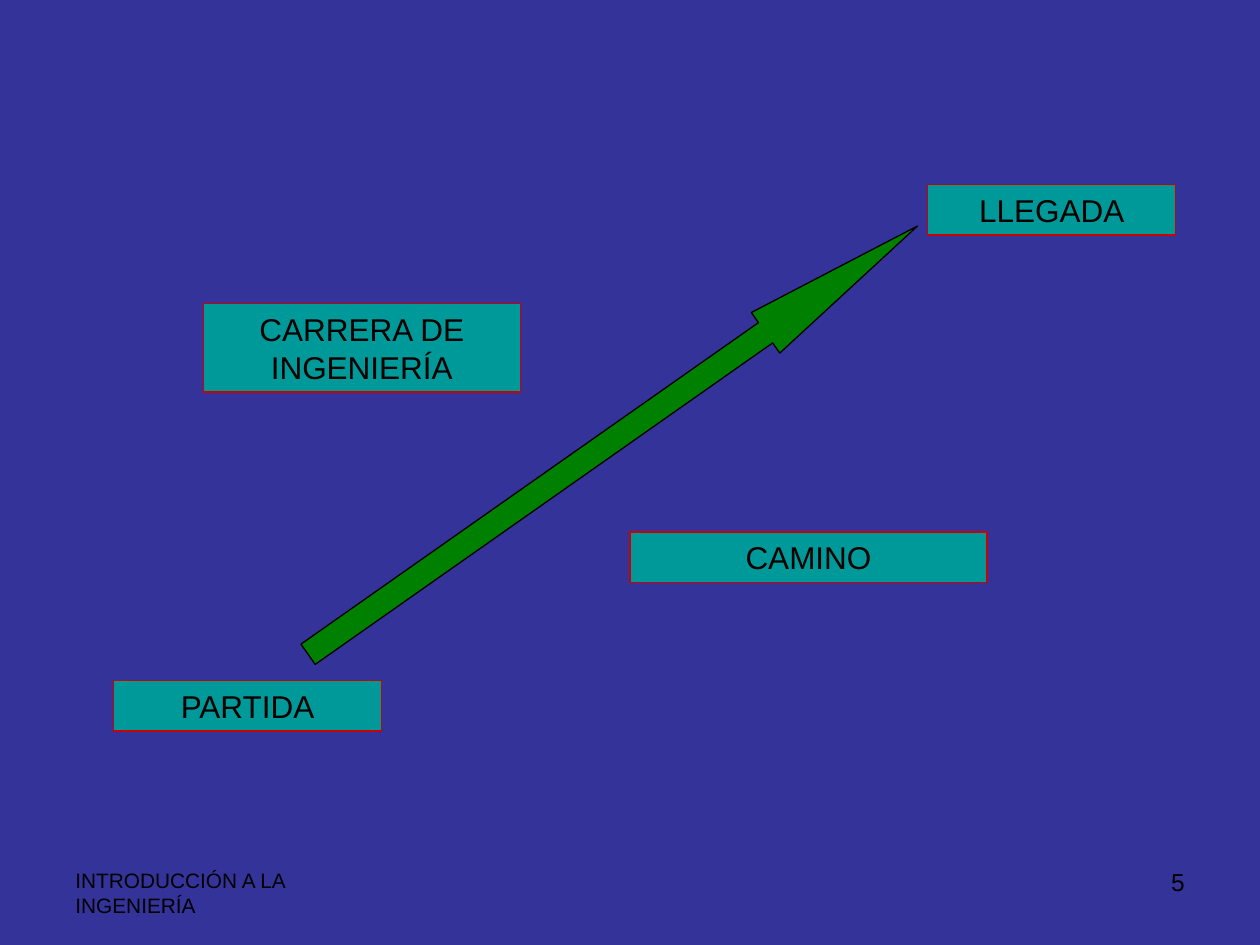
"""Build the slide that shows the career path from start to arrival."""
from dataclasses import dataclass

from pptx import Presentation
from pptx.dml.color import RGBColor
from pptx.enum.shapes import MSO_SHAPE
from pptx.enum.text import MSO_ANCHOR, PP_ALIGN
from pptx.shapes.autoshape import Shape
from pptx.slide import Slide
from pptx.util import Pt

RECTANGLE, ARROW = MSO_SHAPE.RECTANGLE, MSO_SHAPE.RIGHT_ARROW
LEFT, CENTER, RIGHT = PP_ALIGN.LEFT, PP_ALIGN.CENTER, PP_ALIGN.RIGHT
TOP, MIDDLE = MSO_ANCHOR.TOP, MSO_ANCHOR.MIDDLE

BACKGROUND, TEAL, RED = "333399", "009999", "CC0000"
GREEN, BLACK = "008000", "000000"
FRAME_FORMAT = {
    "word_wrap": True,
    "margin_left": Pt(7.2),
    "margin_right": Pt(7.2),
    "margin_top": Pt(3.6),
    "margin_bottom": Pt(3.6),
}


@dataclass(frozen=True)
class Box:
    left: float
    top: float
    width: float
    height: float

    def lengths(self) -> tuple[Pt, Pt, Pt, Pt]:
        return Pt(self.left), Pt(self.top), Pt(self.width), Pt(self.height)


@dataclass(frozen=True)
class Label:
    text: str
    box: Box
    size: float = 18
    align: PP_ALIGN = CENTER


STAGES = (
    Label("LLEGADA", Box(530.2, 105.6, 141.6, 28.8)),
    Label("PARTIDA", Box(65, 388.9, 153, 28.8)),
    Label("CAMINO", Box(360, 304, 204, 28.8)),
    Label("CARRERA DE INGENIERÍA", Box(116.2, 173.6, 181.2, 50.4)),
)
FOOTERS = (
    Label("INTRODUCCIÓN A LA INGENIERÍA", Box(36, 492, 168, 37.5), 11.9, LEFT),
    Label("5", Box(516, 492, 168, 37.5), 14, RIGHT),
)
PATH_BOX = Box(137.4, 237.4, 425.6, 28.3)


def color(value: str) -> RGBColor:
    return RGBColor.from_string(value)


def write_label(shape: Shape, label: Label, anchor: MSO_ANCHOR) -> None:
    frame = shape.text_frame
    for name, value in {**FRAME_FORMAT, "vertical_anchor": anchor}.items():
        setattr(frame, name, value)
    paragraph = frame.paragraphs[0]
    paragraph.alignment = label.align
    run = paragraph.add_run()
    run.text = label.text
    for name, value in {"name": "Arial", "size": Pt(label.size)}.items():
        setattr(run.font, name, value)
    run.font.color.rgb = color(BLACK)


def draw_shape(slide: Slide, kind: MSO_SHAPE, box: Box, fill: str, outline: str) -> Shape:
    shape = slide.shapes.add_shape(kind, *box.lengths())
    shape.shadow.inherit = False
    shape.fill.solid()
    shape.fill.fore_color.rgb = color(fill)
    shape.line.color.rgb = color(outline)
    shape.line.width = Pt(0.75)
    return shape


def draw_path(slide: Slide) -> None:
    arrow = draw_shape(slide, ARROW, PATH_BOX, GREEN, BLACK)
    arrow.rotation = 324.9
    arrow.adjustments[0] = 0.5
    arrow.adjustments[1] = 3.75


def main() -> None:
    deck = Presentation()
    deck.slide_width, deck.slide_height = Pt(720), Pt(540)
    slide = deck.slides.add_slide(deck.slide_layouts[6])
    slide.background.fill.solid()
    slide.background.fill.fore_color.rgb = color(BACKGROUND)
    for footer in FOOTERS:
        write_label(slide.shapes.add_textbox(*footer.box.lengths()), footer, TOP)
    draw_path(slide)
    for stage in STAGES:
        write_label(draw_shape(slide, RECTANGLE, stage.box, TEAL, RED), stage, MIDDLE)
    deck.save("out.pptx")


if __name__ == "__main__":
    main()
